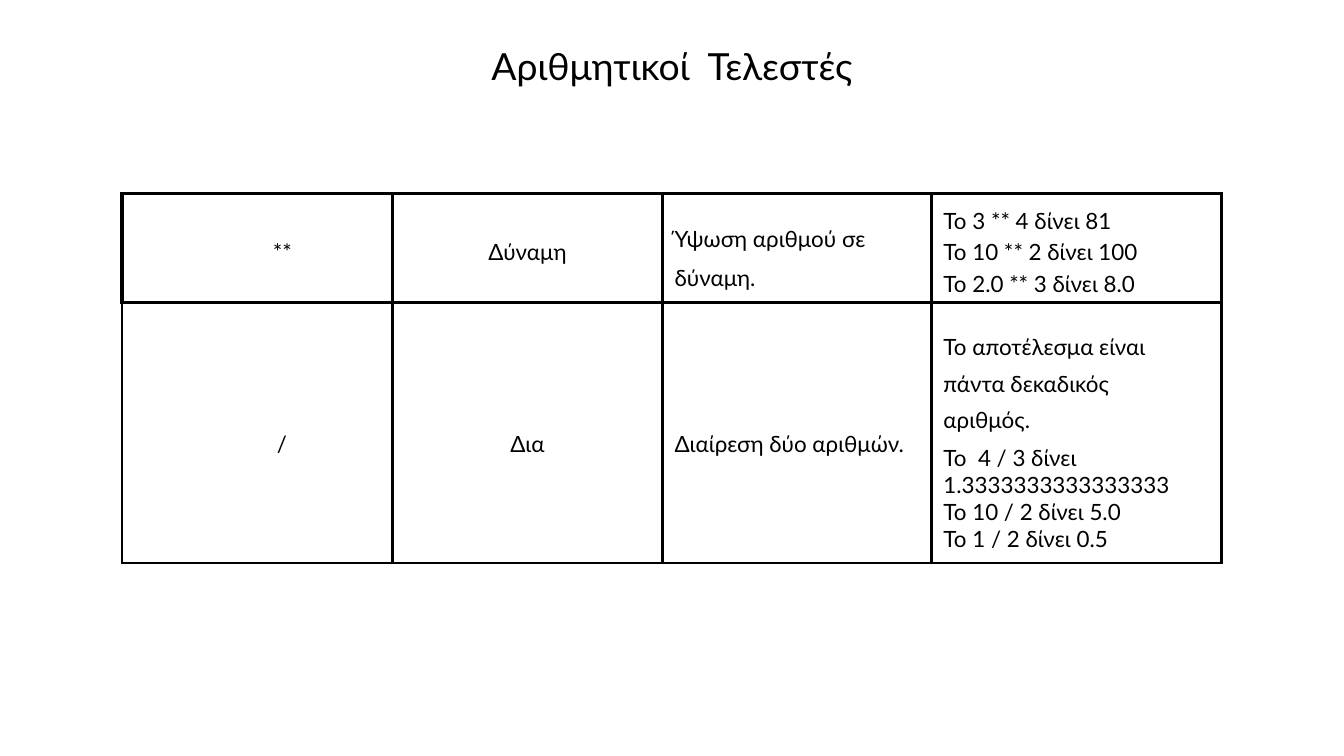
from dataclasses import dataclass

from lxml.etree import SubElement
from pptx import Presentation
from pptx.dml.color import RGBColor
from pptx.enum.text import MSO_ANCHOR, PP_ALIGN
from pptx.oxml.ns import qn
from pptx.util import Inches, Pt

COLORS = {"ink": "000000", "paper": "FFFFFF"}
FONT = "Lato"
COLUMN_WIDTHS = (2.01, 2.01, 2, 2.16)
ROW_HEIGHTS = (0.81, 1.94)
ROW_BORDERS = (
    {"lnL": 2.25, "lnR": 2.25, "lnT": 2.25, "lnB": 2.25},
    {"lnL": 1.5, "lnR": 1.5, "lnT": 2.25, "lnB": 1.5},
)


@dataclass
class Line:
    text: str
    before: float = 0
    spacing: float | None = None
    indent: float = 0.09
    centered: bool = False


@dataclass
class Entry:
    lines: list[Line]
    top_margin: float = 0.06


OPERATORS = [
    [
        Entry([Line("**", 6.3, indent=1.12)]),
        Entry([Line("Δύναμη", 6.3, indent=0, centered=True)]),
        Entry([Line("Ύψωση αριθμού σε δύναμη.", 7.7, 20.5)], 0.07),
        Entry([
            Line("Το 3 ** 4 δίνει 81", 6.3),
            Line("Το 10 ** 2 δίνει 100", 2.4),
            Line("Το 2.0 ** 3 δίνει 8.0", 2.4),
        ]),
    ],
    [
        Entry([Line("/", 7.1, 20.9, 1.15)], 0.07),
        Entry([Line("Δια", 7.1, 20.9, 0, True)], 0.07),
        Entry([Line("Διαίρεση δύο αριθμών.", 7, 21.1)], 0.07),
        Entry([
            Line("Το αποτέλεσμα είναι", 6.8, 21.1),
            Line("πάντα δεκαδικός", 0, 19.6),
            Line("αριθμός.", 0, 19.5),
            Line("Το  4 / 3 δίνει", 0, 20.2),
            Line("1.3333333333333333", 0.2),
            Line("Το 10 / 2 δίνει 5.0", 0.2),
            Line("Το 1 / 2 δίνει 0.5", 0.2),
        ]),
    ],
]


def write_lines(frame, lines: list[Line], size: float) -> None:
    for index, line in enumerate(lines):
        paragraph = frame.add_paragraph() if index else frame.paragraphs[0]
        paragraph.text = line.text
        paragraph.alignment = PP_ALIGN.CENTER if line.centered else PP_ALIGN.LEFT
        paragraph.space_before = Pt(line.before)
        if line.spacing:
            paragraph.line_spacing = Pt(line.spacing)
        properties = paragraph._p.get_or_add_pPr()
        properties.set("marL", str(Inches(line.indent)))
        properties.set("indent", "0")
        paragraph.font.name = FONT
        paragraph.font.size = Pt(size)
        paragraph.font.color.rgb = RGBColor.from_string(COLORS["ink"])


def set_borders(cell, borders: dict[str, float]) -> None:
    properties = cell._tc.get_or_add_tcPr()
    for side, width in borders.items():
        border = SubElement(properties, qn(f"a:{side}"), w=str(Pt(width)))
        fill = SubElement(border, qn("a:solidFill"))
        SubElement(fill, qn("a:srgbClr"), val=COLORS["ink"])


def fill_cell(cell, entry: Entry, borders: dict[str, float]) -> None:
    cell.margin_left = cell.margin_right = cell.margin_bottom = Inches(0)
    cell.margin_top = Inches(entry.top_margin)
    cell.vertical_anchor = MSO_ANCHOR.MIDDLE
    set_borders(cell, borders)
    cell.fill.background()
    write_lines(cell.text_frame, entry.lines, 12)


def add_title(page, text: str) -> None:
    box = page.shapes.add_textbox(Inches(1.04), Inches(0.32), Inches(7.92), Inches(0.34))
    frame = box.text_frame
    frame.word_wrap = True
    frame.margin_left = frame.margin_right = Inches(0)
    frame.margin_top = frame.margin_bottom = Inches(0)
    write_lines(frame, [Line(text, indent=0, centered=True)], 20)


def add_operator_table(page) -> None:
    table = page.shapes.add_table(
        len(ROW_HEIGHTS), len(COLUMN_WIDTHS), Inches(0.91), Inches(1.44),
        Inches(sum(COLUMN_WIDTHS)), Inches(sum(ROW_HEIGHTS)),
    ).table
    table.first_row = table.horz_banding = False
    for column, width in zip(table.columns, COLUMN_WIDTHS):
        column.width = Inches(width)
    for row, height, entries, borders in zip(table.rows, ROW_HEIGHTS, OPERATORS, ROW_BORDERS):
        row.height = Inches(height)
        for cell, entry in zip(row.cells, entries):
            fill_cell(cell, entry, borders)


def main() -> None:
    deck = Presentation()
    deck.slide_width = Inches(10)
    deck.slide_height = Inches(10 * 9 / 16)
    page = deck.slides.add_slide(deck.slide_layouts[6])
    page.background.fill.solid()
    page.background.fill.fore_color.rgb = RGBColor.from_string(COLORS["paper"])
    add_title(page, "Αριθμητικοί  Τελεστές")
    add_operator_table(page)
    deck.save("out.pptx")


if __name__ == "__main__":
    main()
